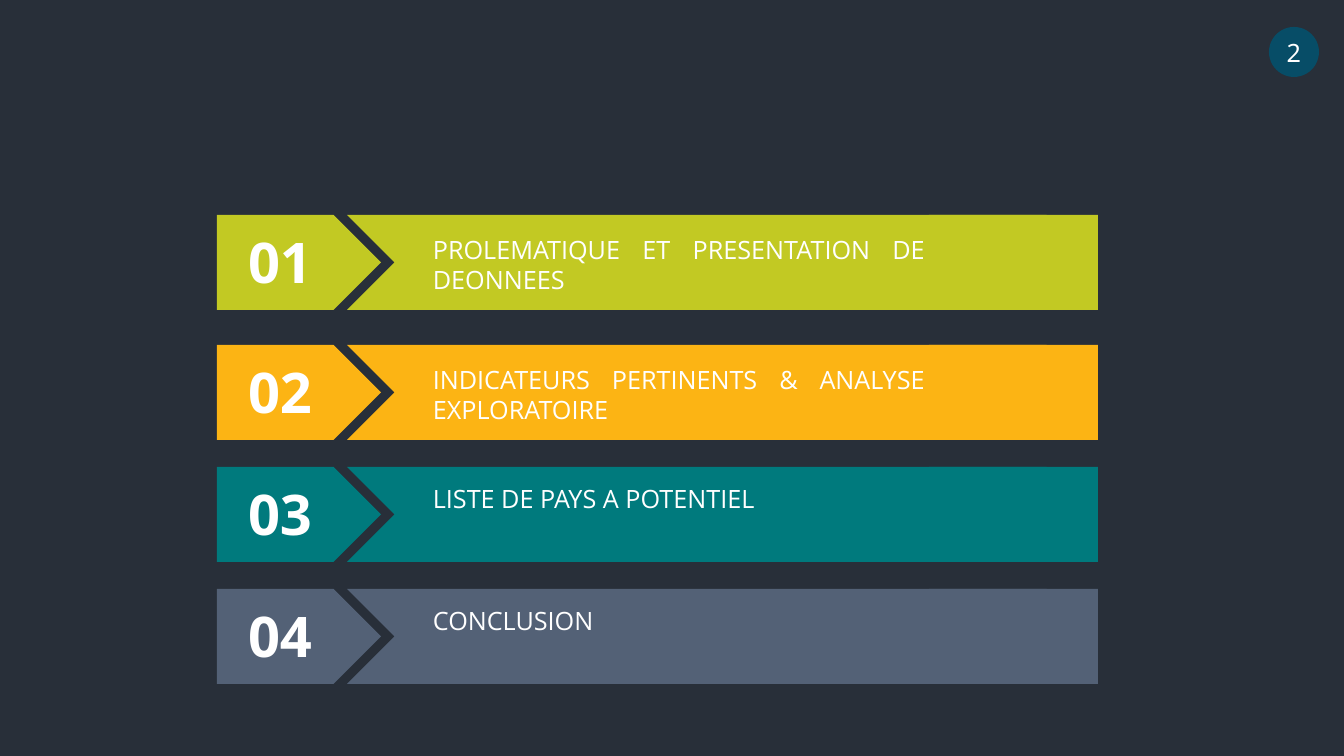
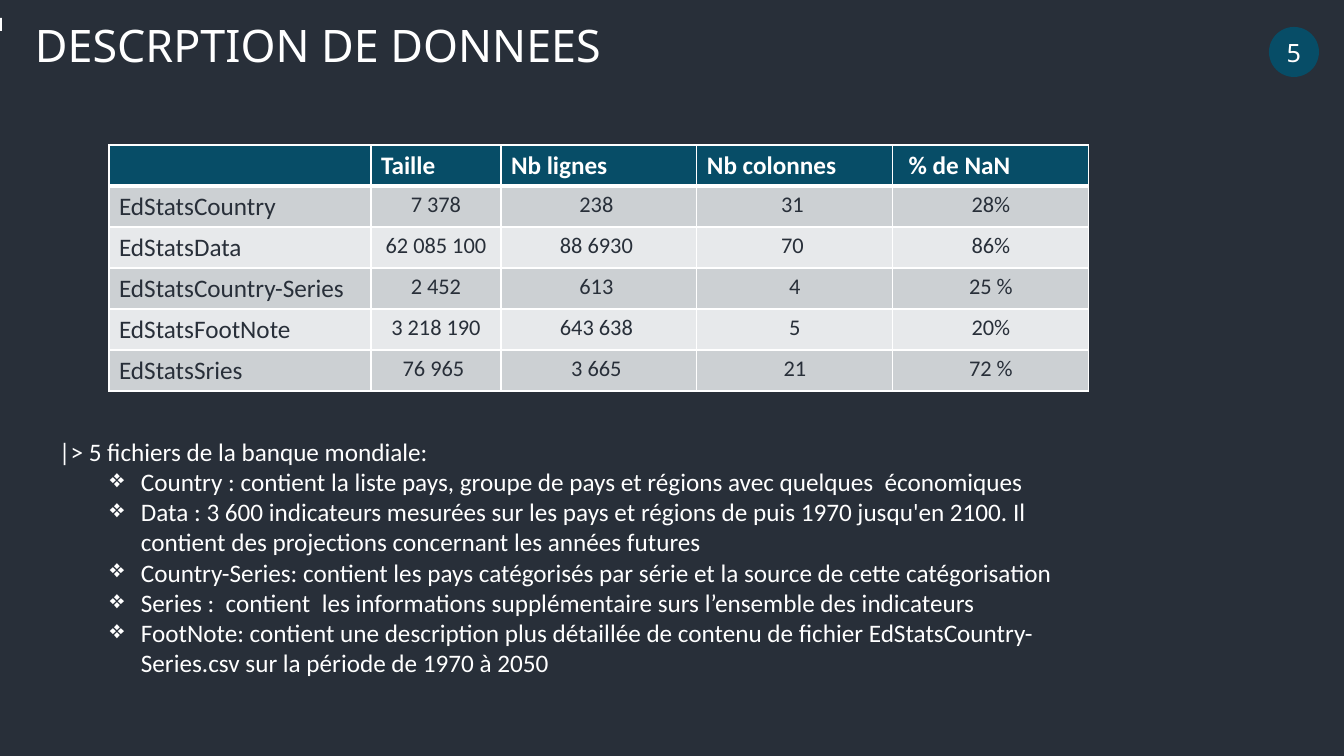
from lxml.etree import SubElement
from pptx import Presentation
from pptx.dml.color import RGBColor
from pptx.enum.shapes import MSO_SHAPE
from pptx.enum.text import MSO_ANCHOR, PP_ALIGN
from pptx.oxml.ns import qn
from pptx.util import Emu, Pt

SCALE = 12192000 / 1344
DARK, WHITE, BLUE = "282F39", "FFFFFF", "074D67"
BANDS = ["CCD0D3", "E7E9EB"]
LEFT, MID, JUST = PP_ALIGN.LEFT, PP_ALIGN.CENTER, PP_ALIGN.JUSTIFY


def px(n):
    return Emu(round(n * SCALE))


def rgb(code):
    return RGBColor.from_string(code)


def write(par, text, size, font, color=WHITE, bold=False, align=LEFT):
    par.alignment = align
    run = par.add_run()
    run.text = text
    run.font.size, run.font.name, run.font.bold = Pt(size), font, bold
    run.font.color.rgb = rgb(color)


def paint(slide, kind, box, color):
    """Add a plain filled shape."""
    shape = slide.shapes.add_shape(kind, *map(px, box))
    shape.shadow.inherit = False
    shape.fill.solid()
    shape.fill.fore_color.rgb = rgb(color)
    shape.line.fill.background()
    return shape


def label(slide, box):
    """Add an empty wrapped text box and return its frame."""
    frame = slide.shapes.add_textbox(*map(px, box)).text_frame
    frame.word_wrap = True
    return frame


prs = Presentation()
prs.slide_width, prs.slide_height = px(1344), px(756)

# Shared background and page badge
slides = []
for page in ["2", "5"]:
    slide = prs.slides.add_slide(prs.slide_layouts[6])
    slide.background.fill.solid()
    slide.background.fill.fore_color.rgb = rgb(DARK)
    badge = paint(slide, MSO_SHAPE.OVAL, (1269, 27, 50, 50), BLUE)
    frame = badge.text_frame
    frame.word_wrap = False
    frame.vertical_anchor = MSO_ANCHOR.MIDDLE
    write(frame.paragraphs[0], page, 18, "Noto Sans", align=MID)
    slides.append(slide)
agenda, data = slides

# Agenda: top of the band, gap above its text, colour, text
steps = [
    (215, 14, "C2C923", "PROLEMATIQUE ET PRESENTATION DE DEONNEES"),
    (345, 14, "FCB414", "INDICATEURS PERTINENTS & ANALYSE EXPLORATOIRE"),
    (467, 11, "007A7D", "LISTE DE PAYS A POTENTIEL"),
    (589, 11, "536176", "CONCLUSION"),
]
parts = [
    (MSO_SHAPE.PENTAGON, 217, 164),
    (MSO_SHAPE.CHEVRON, 347, 747),
    (MSO_SHAPE.RECTANGLE, 929, 169),
]
for num, (top, gap, color, text) in enumerate(steps, 1):
    for kind, left, width in parts:
        paint(agenda, kind, (left, top, width, 95), color)
    frame = label(agenda, (224, top + 8, 112, 78))
    write(frame.paragraphs[0], f"{num:02}", 40, "Open Sans", bold=True, align=MID)
    frame = label(agenda, (423, top + gap, 512, 71))
    write(frame.paragraphs[0], text, 18, "Open Sans", align=JUST)

# Data: title and edge mark
frame = label(data, (25, 13, 602, 65))
write(frame.paragraphs[0], "DESCRPTION DE DONNEES", 32, "Noto Sans")
paint(data, MSO_SHAPE.RECTANGLE, (0, 18, 2, 13), WHITE)

# Data: table of files
rows = [
    ("", "Taille", "Nb lignes", "Nb colonnes", " % de NaN"),
    ("EdStatsCountry", "7 378", "238 ", "31 ", "28%"),
    ("EdStatsData", "62 085 100", "88 6930 ", "70 ", "86%"),
    ("EdStatsCountry-Series", "2 452", "613 ", "4", "25 %"),
    ("EdStatsFootNote", "3 218 190", "643 638 ", "5", "20%"),
    ("EdStatsSries", "76 965 ", "3 665 ", "21", "72 %"),
]
widths = [262, 130, 196, 196, 196]
box = (109, 145, sum(widths), 41 * len(rows))
table = data.shapes.add_table(len(rows), len(widths), *map(px, box)).table
for col, width in zip(table.columns, widths):
    col.width = px(width)
for r, row in enumerate(rows):
    table.rows[r].height = px(41)
    for c, text in enumerate(row):
        cell = table.cell(r, c)
        par = cell.text_frame.paragraphs[0]
        head, small = r == 0, r > 0 and c > 0
        if text:
            write(par, text, 16 if small else 18, "Calibri",
                  WHITE if head else DARK, head, MID if small else LEFT)
        props = cell._tc.get_or_add_tcPr()
        for side in ["lnL", "lnR", "lnT", "lnB"]:
            thick = (head and side == "lnB") or (r == 1 and side == "lnT")
            line = SubElement(props, qn(f"a:{side}"), w=str(Pt(3 if thick else 1)))
            SubElement(SubElement(line, qn("a:solidFill")), qn("a:srgbClr"), val=WHITE)
        cell.fill.solid()
        cell.fill.fore_color.rgb = rgb(BLUE if head else BANDS[(r - 1) % 2])

# Data: notes on the files
notes = [
    "Country : contient la liste pays, groupe de pays et régions avec quelques  économiques",
    "Data : 3 600 indicateurs mesurées sur les pays et régions de puis 1970 jusqu'en 2100. "
    "Il contient des projections concernant les années futures",
    "Country-Series: contient les pays catégorisés par série et la source de cette catégorisation",
    "Series :  contient  les informations supplémentaire surs l’ensemble des indicateurs",
    "FootNote: contient une description plus détaillée de contenu de fichier "
    "EdStatsCountry-Series.csv sur la période de 1970 à 2050",
]
frame = label(data, (49, 431, 1022, 254))
write(frame.paragraphs[0], "|> 5 fichiers de la banque mondiale:", 18, "Calibri")
for note in notes:
    par = frame.add_paragraph()
    par.level = 1
    write(par, note, 18, "Calibri")
    props = par._p.get_or_add_pPr()
    props.set("marL", str(px(82)))
    props.set("indent", str(px(-31)))
    SubElement(props, qn("a:buChar"), char="❖")

prs.save("out.pptx")
